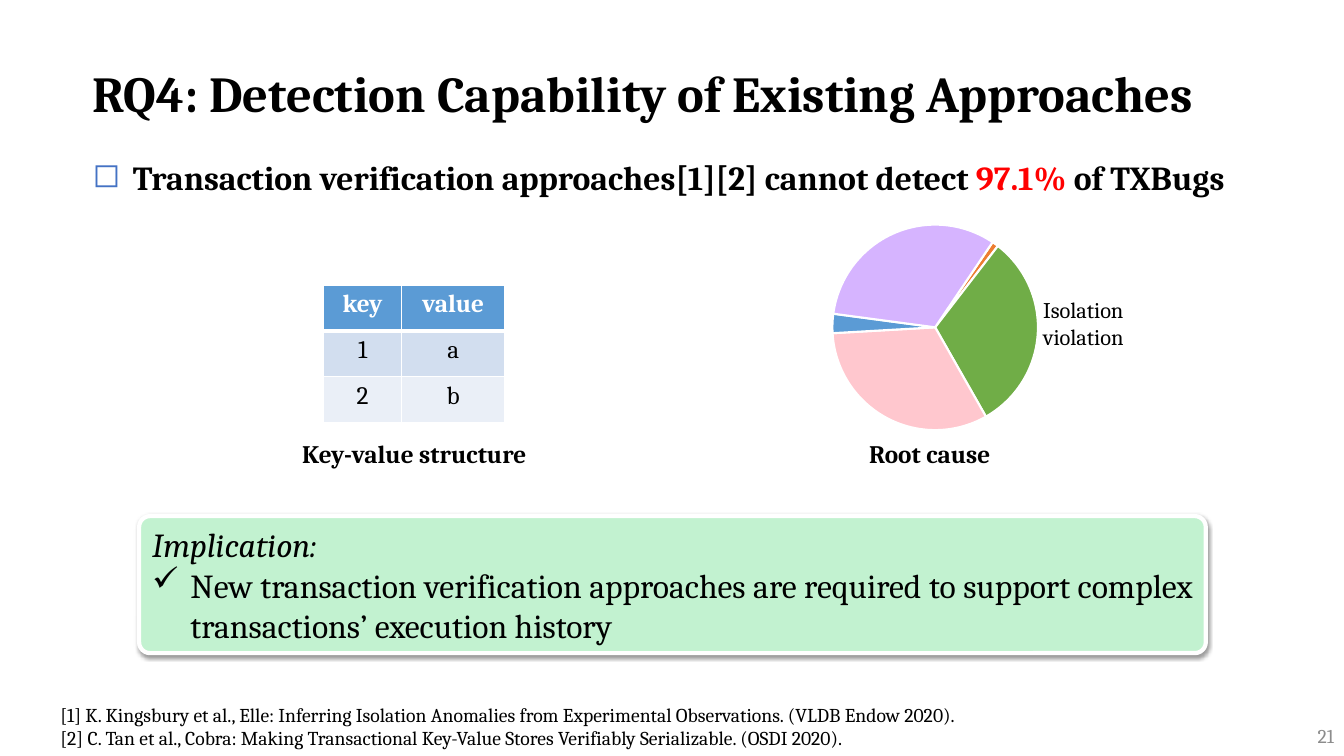
from lxml import etree
from pptx import Presentation
from pptx import util as u
from pptx.chart.data import CategoryChartData
from pptx.dml.color import RGBColor
from pptx.enum import chart as charts, dml, shapes, text
from pptx.oxml import parse_xml
from pptx.oxml.ns import nsdecls, qn

FONT = "Cambria"
BLACK, WHITE, RED, GREY = "000000", "FFFFFF", "FF0000", "8C8C8C"
BLUE, GREEN, MINT = "5B9BD5", "70AD47", "C2F2D0"
CAPTION_WIDTH, CAPTION_HEIGHT = 22.35, 5.33
LEFT, CENTER, RIGHT, JUSTIFY = (text.PP_ALIGN.LEFT, text.PP_ALIGN.CENTER,
                                text.PP_ALIGN.RIGHT, text.PP_ALIGN.JUSTIFY)

deck = Presentation()
deck.slide_width, deck.slide_height = u.Inches(13.33), u.Inches(7.5)
slide = deck.slides.add_slide(deck.slide_layouts[6])


def place(box):
    """Turn left, top, width, height on a 100 x 100 grid into slide lengths."""
    column, row = deck.slide_width / 100, deck.slide_height / 100
    return [u.Emu(round(n * unit)) for n, unit in zip(box, (column, row) * 2)]


def rgb(color):
    return RGBColor.from_string(color)


def write(paragraph, words, size=18, color=BLACK, bold=False, italic=False,
          align=LEFT, indent=0, bullet=None, bullet_color=None, line=None):
    """Fill a paragraph; words is a string or a list of (string, color)."""
    paragraph.alignment = align
    if line:
        paragraph.line_spacing = u.Pt(line)
    props = paragraph._p.get_or_add_pPr()
    if indent:
        props.set("marL", str(u.Inches(indent)))
        props.set("indent", str(-u.Inches(indent)))
    if bullet_color:
        tint = etree.SubElement(props, qn("a:buClr"))
        etree.SubElement(tint, qn("a:srgbClr"), val=bullet_color)
    if bullet:
        etree.SubElement(props, qn("a:buChar"), char=bullet)
    for part, part_color in [(words, color)] if isinstance(words, str) else words:
        run = paragraph.add_run()
        run.text = part
        font = run.font
        font.name, font.size, font.bold, font.italic = FONT, u.Pt(size), bold, italic
        font.color.rgb = rgb(part_color)


def add_text(box, words, anchor=text.MSO_ANCHOR.TOP, **style):
    frame = slide.shapes.add_textbox(*place(box)).text_frame
    frame.word_wrap, frame.vertical_anchor = True, anchor
    write(frame.paragraphs[0], words, **style)
    return frame


def add_caption(box, words):
    """Centre a caption along the bottom of a panel."""
    left, top, width, height = box
    add_text((left + (width - CAPTION_WIDTH) / 2, top + height - CAPTION_HEIGHT,
              CAPTION_WIDTH, CAPTION_HEIGHT), words, bold=True, align=CENTER)


def add_borders(cell, bottom):
    props = cell._tc.get_or_add_tcPr()
    for side, points in zip("LRTB", (1, 1, 1, bottom)):
        props.append(parse_xml(
            f'<a:ln{side} {nsdecls("a")} w="{u.Pt(points)}"><a:solidFill>'
            f'<a:srgbClr val="{WHITE}"/></a:solidFill></a:ln{side}>'))


def add_key_value_panel(box):
    left, top, width, _ = box
    rows = [("key", "value"), ("1", "a"), ("2", "b")]
    fills = [BLUE, "D2DEEF", "EAEFF7"]
    table_width, table_height = 13.5, 18.13
    table_box = place((left + (width - table_width) / 2, top, table_width, table_height))
    table = slide.shapes.add_table(len(rows), 2, *table_box).table
    for column, share in zip(table.columns, (0.43, 0.57)):
        column.width = round(table_box[2] * share)
    for i, (row, fill) in enumerate(zip(rows, fills)):
        header = i == 0
        for j, words in enumerate(row):
            cell = table.cell(i, j)
            write(cell.text_frame.paragraphs[0], words, bold=header,
                  color=WHITE if header else BLACK, align=CENTER)
            add_borders(cell, bottom=3 if header else 1)
            cell.fill.solid()
            cell.fill.fore_color.rgb = rgb(fill)
    add_caption(box, "Key-value structure")


def add_root_cause_panel(box):
    left, top, width, _ = box
    causes = CategoryChartData()
    causes.categories = ["1", "2", "3", "4", "5"]
    causes.add_series("Series 1", (1, 31, 32, 3, 32))
    pie = slide.shapes.add_chart(charts.XL_CHART_TYPE.PIE,
                                 *place((left, top, width, 28.93)), causes).chart
    pie.has_legend = pie.has_title = False
    pie.font.name, pie.font.size, pie.font.color.rgb = FONT, u.Pt(10), rgb(BLACK)
    plot = pie.plots[0]
    plot.vary_by_categories = True
    for i, color in enumerate(["ED7D31", GREEN, "FFC7CE", BLUE, "D6B4FF"]):
        slice_format = plot.series[0].points[i].format
        fill = slice_format.fill
        if color == GREEN:
            fill.patterned()
            fill.pattern = dml.MSO_PATTERN.DARK_VERTICAL
            fill.back_color.rgb = rgb(WHITE)
        else:
            fill.solid()
        fill.fore_color.rgb = rgb(color)
        slice_format.line.color.rgb = rgb(WHITE)
        slice_format.line.width = u.Pt(1.5)

    pie_xml = plot._element
    for angle in pie_xml.findall(qn("c:firstSliceAng")):
        pie_xml.remove(angle)
    etree.SubElement(pie_xml, qn("c:firstSliceAng"), val="34")
    area = pie_xml.getparent()
    for layout in area.findall(qn("c:layout")):
        area.remove(layout)
    settings = [("layoutTarget", "inner"), ("xMode", "edge"), ("yMode", "edge"),
                ("x", 0.25), ("y", 0.05), ("w", 0.52), ("h", 0.94)]
    tags = "".join(f'<c:{tag} val="{value}"/>' for tag, value in settings)
    area.insert(0, parse_xml(f'<c:layout {nsdecls("c")}><c:manualLayout>{tags}'
                             '</c:manualLayout></c:layout>'))
    add_caption(box, "Root cause")
    add_text((left + 25.72, top + 10.26, 11.78, 8.53), "Isolation violation",
             size=16, align=CENTER)


def add_implication(box):
    card = slide.shapes.add_shape(shapes.MSO_SHAPE.ROUNDED_RECTANGLE, *place(box))
    card.adjustments[0] = 0.08
    card.fill.solid()
    card.fill.fore_color.rgb = rgb(MINT)
    card.line.color.rgb, card.line.width = rgb(WHITE), u.Pt(3)
    card.shadow.inherit = False
    shadow = card._element.spPr.find(qn("a:effectLst"))
    shadow.append(parse_xml(
        f'<a:outerShdw {nsdecls("a")} blurRad="{u.Pt(3.1)}" dist="{u.Pt(1.6)}" '
        f'dir="5400000" rotWithShape="0"><a:srgbClr val="{BLACK}">'
        '<a:alpha val="38000"/></a:srgbClr></a:outerShdw>'))
    frame = card.text_frame
    frame.word_wrap, frame.vertical_anchor = True, text.MSO_ANCHOR.TOP
    write(frame.paragraphs[0], "Implication:", size=24, italic=True, align=JUSTIFY)
    write(frame.add_paragraph(),
          "New transaction verification approaches are required to support complex "
          "transactions’ execution history",
          size=24, align=JUSTIFY, indent=0.38, bullet="✓")


def add_references(box):
    style = dict(size=14, align=JUSTIFY, indent=0.44)
    frame = add_text(box, "[1] K. Kingsbury et al., Elle: Inferring Isolation Anomalies "
                     "from Experimental Observations. (VLDB Endow 2020).", **style)
    write(frame.add_paragraph(), "[2] C. Tan et al., Cobra: Making Transactional Key-Value "
          "Stores Verifiably Serializable. (OSDI 2020).", **style)


def main():
    add_root_cause_panel((49, 28.27, 40.36, 34.39))
    add_text((6.15, 20.13, 90, 12.13),
             [("Transaction verification approaches[1][2] cannot detect ", BLACK),
              ("97.1%", RED), (" of TXBugs", BLACK)],
             size=24, bold=True, indent=0.4, bullet="◻", bullet_color="4472C4")
    add_text((6.15, 4.53, 88.8, 12.4), "RQ4: Detection Capability of Existing Approaches",
             anchor=text.MSO_ANCHOR.BOTTOM, size=36, bold=True, line=46.7)
    add_text((77.5, 94.67, 22.5, 5.33), "21", anchor=text.MSO_ANCHOR.MIDDLE,
             size=14, color=GREY, align=RIGHT)
    add_implication((10.35, 68.27, 79.37, 18.13))
    add_key_value_panel((19.65, 37.73, 22.35, 24.93))
    add_references((3.75, 92.27, 83.27, 7.6))
    deck.save("out.pptx")


if __name__ == "__main__":
    main()
